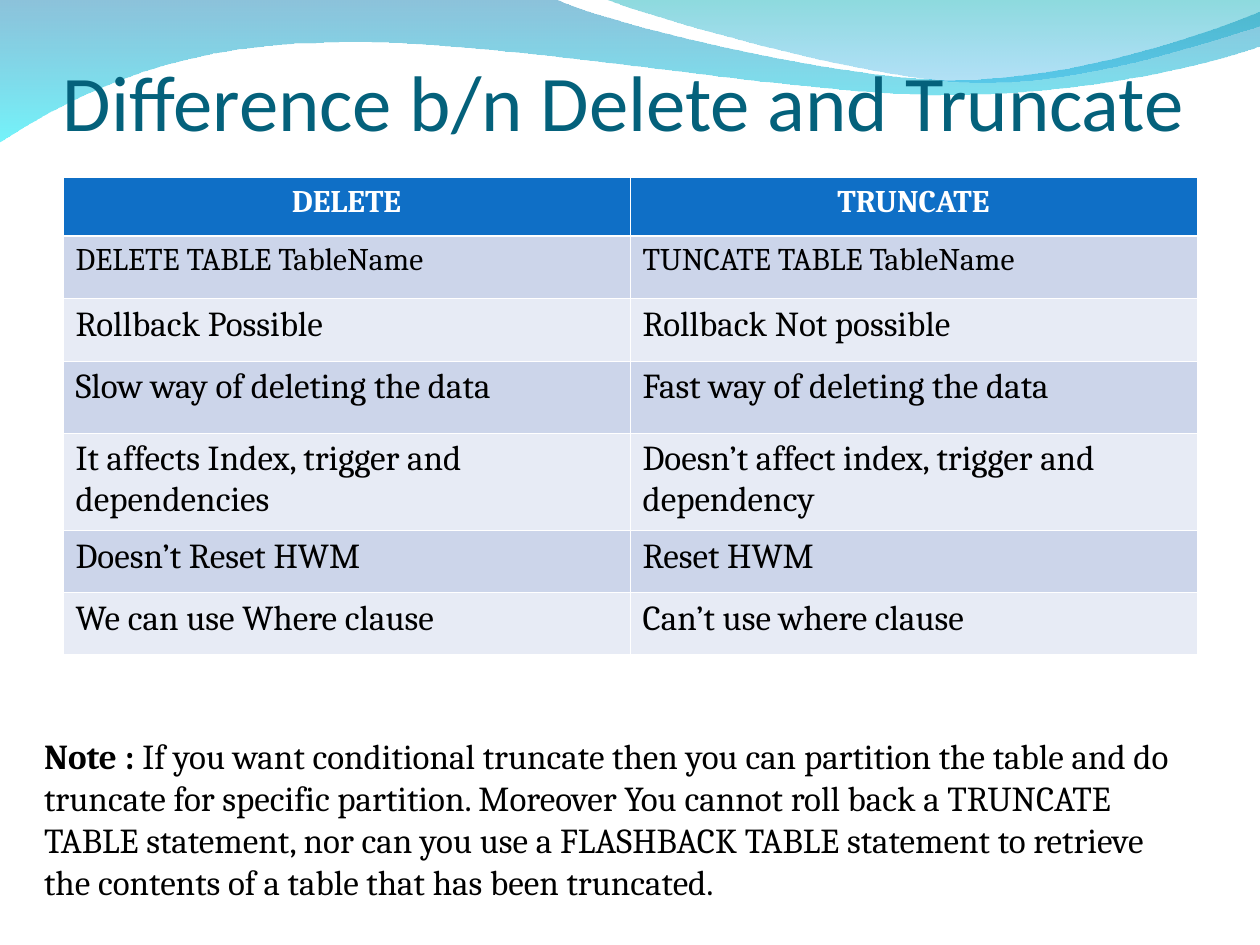
from dataclasses import dataclass

from lxml.etree import SubElement
from pptx import Presentation
from pptx.dml.color import RGBColor
from pptx.enum.text import MSO_ANCHOR, MSO_AUTO_SIZE, PP_ALIGN
from pptx.oxml.ns import qn
from pptx.util import Cm, Pt

Point = tuple[float, float]


@dataclass(frozen=True)
class Stop:
    color: str
    opacity: int


@dataclass(frozen=True)
class Wave:
    start: Point
    segments: list[tuple[Point, ...]]
    stops: tuple[Stop, Stop]


@dataclass(frozen=True)
class TextPiece:
    text: str
    size: int
    color: str = "000000"
    name: str = "Cambria"
    bold: bool = False


@dataclass(frozen=True)
class TableRow:
    height: float
    size: int
    texts: tuple[str, str]


WAVES = [
    Wave(
        (0, -0.03),
        [
            ((11.18, -0.03),),
            ((12.09, 0.43), (16.87, 1.6), (19.25, 1.6)),
            ((21.67, 1.6), (24.33, 0.66), (25.4, 0.23)),
            ((25.43, 0.91),),
            ((24.97, 1.12), (22.1, 1.93), (18.95, 1.91)),
            ((15.8, 1.91), (9.7, 0.71), (6.53, 0.86)),
            ((3.25, 0.89), (1.17, 2.11), (-0.03, 2.87)),
            ((0, -0.03),),
        ],
        (Stop("0079AF", 45), Stop("00EBF8", 55)),
    ),
    Wave(
        (12.17, -0.03),
        [
            ((12.93, 0.28), (17.32, 1.57), (19.53, 1.65)),
            ((21.74, 1.75), (24.41, 0.81), (25.4, 0.53)),
            ((25.4, 0),),
            ((12.17, -0.03),),
        ],
        (Stop("00ADB6", 45), Stop("009BE5", 30)),
    ),
]

ROWS = [
    TableRow(1.18, 18, ("DELETE", "TRUNCATE")),
    TableRow(1.26, 18, ("DELETE TABLE TableName", "TUNCATE TABLE TableName")),
    TableRow(1.26, 20, ("Rollback Possible", "Rollback Not possible")),
    TableRow(1.45, 20, ("Slow way of deleting the data", "Fast way of deleting the data")),
    TableRow(1.96, 20, ("It affects Index, trigger and dependencies",
                        "Doesn’t affect index, trigger and dependency")),
    TableRow(1.26, 20, ("Doesn’t Reset HWM", "Reset HWM")),
    TableRow(1.25, 20, ("We can use Where clause", "Can’t use where clause")),
]

NOTE = (
    "If you want conditional truncate then you can partition the table and do truncate "
    "for specific partition. Moreover You cannot roll back a TRUNCATE TABLE statement, "
    "nor can you use a FLASHBACK TABLE statement to retrieve the contents of a table "
    "that has been truncated."
)


def rgb(color: str) -> RGBColor:
    return RGBColor.from_string(color)


def apply_format(target, values: dict) -> None:
    for name, value in values.items():
        setattr(target, name, value)


def bend_segments(shape, segments: list[tuple[Point, ...]]) -> None:
    lines = iter(list(shape.element.iter(qn("a:lnTo"))))
    for segment in segments:
        group = [next(lines) for _ in segment]
        if len(group) == 1:
            continue
        outline = group[0].getparent()
        curve = SubElement(outline, qn("a:cubicBezTo"))
        group[0].addprevious(curve)
        for line in group:
            curve.append(line[0])
            outline.remove(line)


def draw_wave(slide, wave: Wave) -> None:
    points = [point for segment in wave.segments for point in segment]
    builder = slide.shapes.build_freeform(*map(Cm, wave.start))
    builder.add_line_segments([(Cm(x), Cm(y)) for x, y in points], close=True)
    shape = builder.convert_to_shape()
    bend_segments(shape, wave.segments)
    shape.shadow.inherit = False
    shape.line.fill.background()
    shape.fill.gradient()
    shape.fill.gradient_angle = 270
    for position, (gradient_stop, stop) in enumerate(zip(shape.fill.gradient_stops, wave.stops)):
        gradient_stop.position = position
        gradient_stop.color.rgb = rgb(stop.color)
    for element, stop in zip(shape.element.iter(qn("a:srgbClr")), wave.stops):
        SubElement(element, qn("a:alpha"), val=str(stop.opacity * 1000))


def write_text(paragraph, pieces: list[TextPiece]) -> None:
    for piece in pieces:
        run = paragraph.add_run()
        run.text = piece.text
        apply_format(run.font, {"name": piece.name, "size": Pt(piece.size), "bold": piece.bold})
        run.font.color.rgb = rgb(piece.color)


def draw_text(slide, box: tuple[float, ...], pieces: list[TextPiece], frame_format: dict) -> None:
    shape = slide.shapes.add_textbox(*map(Cm, box))
    apply_format(shape.text_frame, {"word_wrap": True, **frame_format})
    write_text(shape.text_frame.paragraphs[0], pieces)


def set_borders(cell, widths: dict[str, float]) -> None:
    properties = cell._tc.get_or_add_tcPr()
    for index, (side, width) in enumerate(widths.items()):
        line = SubElement(properties, qn(f"a:ln{side}"), w=str(Pt(width)))
        fill = SubElement(line, qn("a:solidFill"))
        SubElement(fill, qn("a:srgbClr"), val="FFFFFF")
        properties.insert(index, line)


def draw_table(slide, rows: list[TableRow]) -> None:
    height = sum(row.height for row in rows)
    box = (1.27, 3.58, 22.86, height)
    table = slide.shapes.add_table(len(rows), 2, *map(Cm, box)).table
    for index, row in enumerate(rows):
        table.rows[index].height = Cm(row.height)
        header = index == 0
        fill = "0F6FC6" if header else ("E7EBF5", "CCD5EA")[index % 2]
        widths = {
            "L": 0.45,
            "R": 0.45,
            "T": 1.47 if index == 1 else 0.45,
            "B": 1.47 if header else 0.45,
        }
        for cell, text in zip(table.rows[index].cells, row.texts):
            cell.fill.solid()
            cell.fill.fore_color.rgb = rgb(fill)
            set_borders(cell, widths)
            paragraph = cell.text_frame.paragraphs[0]
            paragraph.alignment = PP_ALIGN.CENTER if header else PP_ALIGN.LEFT
            color = "FFFFFF" if header else "000000"
            write_text(paragraph, [TextPiece(text, row.size, color, bold=header)])


def main() -> None:
    presentation = Presentation()
    apply_format(presentation, {"slide_width": Cm(25.4), "slide_height": Cm(19.05)})
    slide = presentation.slides.add_slide(presentation.slide_layouts[6])
    for wave in WAVES:
        draw_wave(slide, wave)
    title_format = {
        "vertical_anchor": MSO_ANCHOR.BOTTOM,
        "margin_left": 0,
        "margin_right": 0,
        "margin_bottom": 0,
    }
    title = TextPiece("Difference b/n Delete and Truncate", 45, "04617B", "Calibri")
    draw_text(slide, (1.27, 0.79, 22.86, 2.18), [title], title_format)
    draw_table(slide, ROWS)
    note = [TextPiece("Note : ", 20, bold=True), TextPiece(NOTE, 20)]
    note_format = {"auto_size": MSO_AUTO_SIZE.SHAPE_TO_FIT_TEXT}
    draw_text(slide, (0.64, 14.68, 23.5, 4.5), note, note_format)
    presentation.save("out.pptx")


if __name__ == "__main__":
    main()
